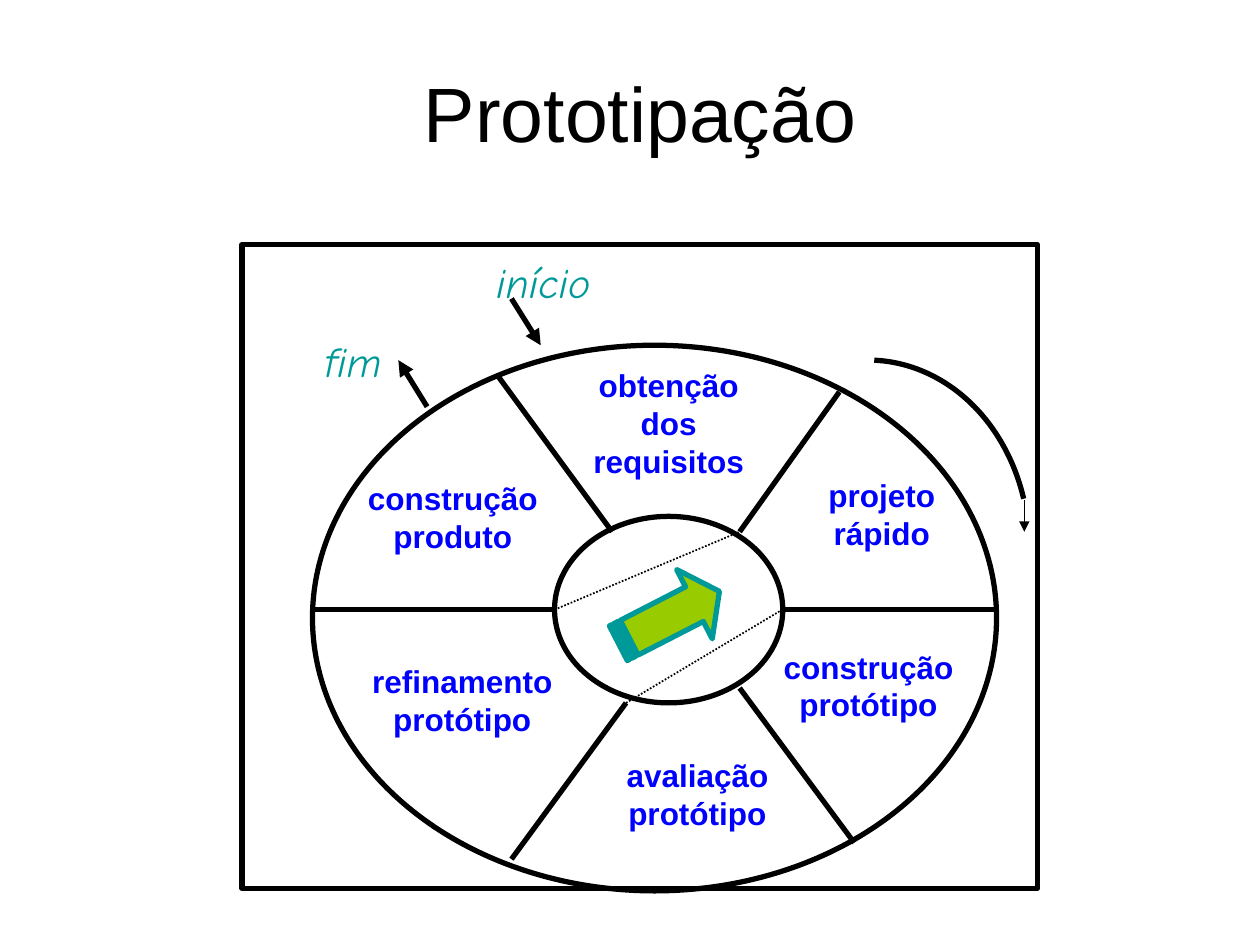
"""Build the slide on the prototyping cycle."""
from lxml import etree
from pptx import Presentation
from pptx.dml.color import RGBColor
from pptx.enum.dml import MSO_LINE
from pptx.enum.shapes import MSO_CONNECTOR, MSO_SHAPE
from pptx.enum.text import MSO_ANCHOR, PP_ALIGN
from pptx.oxml.ns import qn
from pptx.util import Cm, Pt

RECT, OVAL = MSO_SHAPE.RECTANGLE, MSO_SHAPE.OVAL
ARC, STRIPED = MSO_SHAPE.ARC, MSO_SHAPE.STRIPED_RIGHT_ARROW
STRAIGHT, DOTS = MSO_CONNECTOR.STRAIGHT, MSO_LINE.ROUND_DOT
LEFT, CENTER = PP_ALIGN.LEFT, PP_ALIGN.CENTER
TOP, MIDDLE = MSO_ANCHOR.TOP, MSO_ANCHOR.MIDDLE

BLACK = RGBColor(0, 0, 0)
WHITE = RGBColor(255, 255, 255)
BLUE = RGBColor(0, 0, 255)
TEAL = RGBColor(0, 153, 153)
LIME = RGBColor(153, 204, 0)

TITLE = (" Prototipação", (1.9, 0.91, 21.59, 2.67))
FRAME = (4.88, 4.93, 16.03, 12.98)
RINGS = [(6.3, 6.96, 13.79, 11), (11.18, 10.41, 4.6, 3.76)]
ENDS = [
    ("fim", (6.3, 6.63, 3.15, 1.57)),
    ("início", (9.75, 5.05, 3.15, 1.57)),
]
STEPS = [
    ("construção produto", (6.55, 9.53, 5.16, 2.51)),
    ("refinamento protótipo", (6.88, 13.23, 4.88, 2.51)),
    ("avaliação protótipo", (11.76, 15.11, 4.6, 2.51)),
    ("construção protótipo", (15.21, 12.93, 4.6, 2.51)),
    ("projeto rápido", (15.77, 9.47, 4.01, 2.51)),
    ("obtenção dos requisitos", (11.18, 7.26, 4.6, 3.15)),
]
SPOKES = [
    (10.03, 7.57, 12.34, 10.72),
    (16.92, 7.9, 14.91, 10.72),
    (15.77, 12.29, 20.09, 12.29),
    (14.91, 13.87, 17.22, 16.99),
    (12.62, 14.17, 10.31, 17.32),
    (11.18, 12.29, 6.3, 12.29),
]
DOTTED = [(11.18, 12.29, 14.91, 10.72), (12.62, 14.17, 15.77, 12.29)]
ARROWS = [
    ((8.61, 8.2, 8.03, 7.26), 3),
    ((10.31, 6.02, 10.9, 6.96), 3),
    ((20.65, 10.08, 20.65, 10.72), 0.75),
]
CURVE = (14.25, 7.26, 6.5, 7.57)
SWEEP = (271.9, 342.5)
THRUST = (12.34, 11.66, 2.29, 1.57)


def draw(slide, kind, box, fill=None, line=None):
    shape = slide.shapes.add_shape(kind, *map(Cm, box))
    shape.shadow.inherit = False
    if fill is None:
        shape.fill.background()
    else:
        shape.fill.solid()
        shape.fill.fore_color.rgb = fill
    if line is None:
        shape.line.fill.background()
    else:
        shape.line.color.rgb = line
        shape.line.width = Pt(3)
    return shape


def write(shape, text, font, size, color, align, anchor=TOP, bold=False, slant=False):
    frame = shape.text_frame
    frame.word_wrap = True
    frame.vertical_anchor = anchor
    para = frame.paragraphs[0]
    para.alignment = align
    run = para.add_run()
    run.text = text
    run.font.name = font
    run.font.size = Pt(size)
    run.font.color.rgb = color
    run.font.bold = bold
    run.font.italic = slant


def link(slide, ends, width=3, dash=None, head=False):
    line = slide.shapes.add_connector(STRAIGHT, *map(Cm, ends))
    line.line.color.rgb = BLACK
    line.line.width = Pt(width)
    if dash is not None:
        line.line.dash_style = dash
    if head:
        etree.SubElement(line.line._get_or_add_ln(), qn("a:tailEnd"), type="triangle")
    etree.SubElement(line._element.spPr, qn("a:effectLst"))


def main():
    deck = Presentation()
    deck.slide_width, deck.slide_height = Cm(25.4), Cm(19.05)
    slide = deck.slides.add_slide(deck.slide_layouts[6])

    draw(slide, RECT, FRAME, WHITE, BLACK)
    for text, box in ENDS:
        write(draw(slide, RECT, box, WHITE), text, "Comic Neue", 24, TEAL, LEFT, slant=True)
    for text, box in STEPS:
        write(draw(slide, RECT, box, WHITE), text, "Arial", 18, BLUE, CENTER, bold=True)
    for box in RINGS:
        draw(slide, OVAL, box, line=BLACK)
    for ends in SPOKES:
        link(slide, ends)

    thrust = draw(slide, STRIPED, THRUST, LIME, TEAL)
    thrust.rotation = 332.8
    thrust.adjustments[1] = 0.36

    for ends in DOTTED:
        link(slide, ends, 1, DOTS)
    for ends, width in ARROWS:
        link(slide, ends, width, head=True)

    curve = draw(slide, ARC, CURVE, line=BLACK)
    for spot, angle in enumerate(SWEEP):
        curve.adjustments[spot] = angle * 0.6

    text, box = TITLE
    title = slide.shapes.add_textbox(*map(Cm, box))
    write(title, text, "Arial", 44, BLACK, CENTER, MIDDLE)
    deck.save("out.pptx")


if __name__ == "__main__":
    main()
